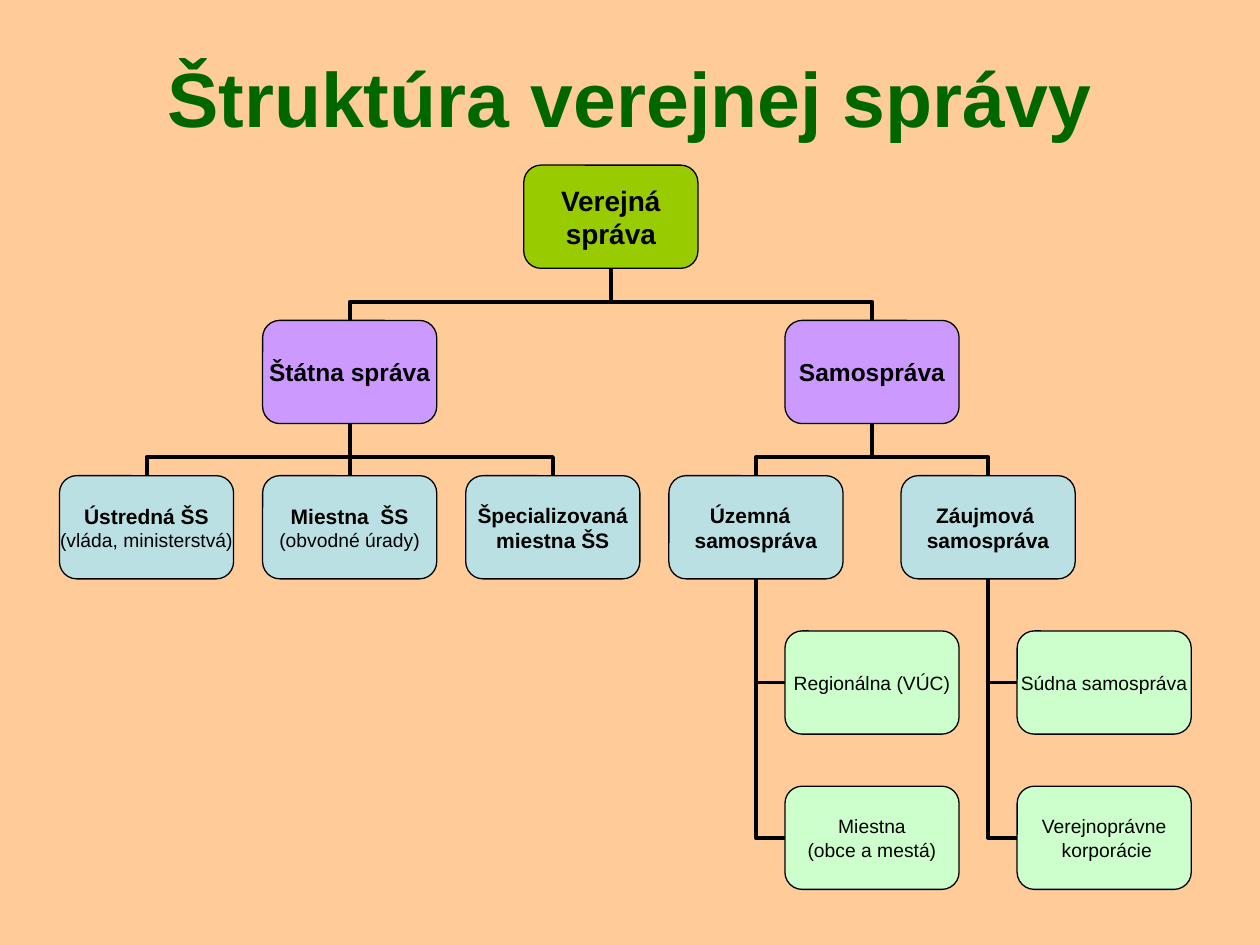
"""Builds a slide with the organisation chart of public administration."""
from lxml.etree import SubElement
from pptx import Presentation
from pptx.dml.color import RGBColor
from pptx.enum.shapes import MSO_CONNECTOR, MSO_SHAPE
from pptx.enum.text import MSO_ANCHOR, MSO_AUTO_SIZE, PP_ALIGN
from pptx.oxml.ns import qn
from pptx.util import Cm, Pt

COLORS = {
    "background": "FFCC99", "title": "006600", "ink": "000000",
    "root": "99CC00", "branch": "CC99FF", "unit": "BBE0E3", "leaf": "CCFFCC",
}
STYLES = {"root": (16, True), "branch": (14, True), "unit": (12, True), "leaf": (11, False)}
LEFT, TOP = 1.2, 3.33
COLUMN_STEP, ROW_STEP = 0.585, 3.13
BOX_WIDTH, BOX_HEIGHT = 3.51, 2.08
TOP_SITE, LEFT_SITE, BOTTOM_SITE = 0, 1, 2

NODES = [
    ("root", None, "root", 16, 0, ["Verejná", "správa"]),
    ("state", "root", "branch", 7, 1, ["Štátna správa"]),
    ("self", "root", "branch", 25, 1, ["Samospráva"]),
    ("central", "state", "unit", 0, 2, ["Ústredná ŠS", "(vláda, ministerstvá)"]),
    ("local", "state", "unit", 7, 2, ["Miestna  ŠS", "(obvodné úrady)"]),
    ("special", "state", "unit", 14, 2, ["Špecializovaná", "miestna ŠS"]),
    ("territorial", "self", "unit", 21, 2, ["Územná  ", "samospráva"]),
    ("interest", "self", "unit", 29, 2, ["Záujmová ", "samospráva"]),
    ("regional", "territorial", "leaf", 25, 3, ["Regionálna (VÚC)"]),
    ("municipal", "territorial", "leaf", 25, 4, ["Miestna", "(obce a mestá)"]),
    ("judicial", "interest", "leaf", 33, 3, ["Súdna samospráva"]),
    ("corporate", "interest", "leaf", 33, 4, ["Verejnoprávne", " korporácie"]),
]


def write(para, text, size, bold=False, color="ink"):
    """Put one formatted, centred line of text into a paragraph."""
    para.alignment = PP_ALIGN.CENTER
    span = para.add_run()
    span.text = text
    span.font.name = "Arial"
    span.font.size = Pt(size)
    span.font.bold = bold
    span.font.color.rgb = RGBColor.from_string(COLORS[color])


deck = Presentation()
deck.slide_width, deck.slide_height = Cm(25.4), Cm(19.05)
page = deck.slides.add_slide(deck.slide_layouts[5])
page.background.fill.solid()
page.background.fill.fore_color.rgb = RGBColor.from_string(COLORS["background"])

title = page.shapes.title
title.left, title.top, title.width, title.height = Cm(1.27), Cm(0.76), Cm(22.86), Cm(2.36)
title.text_frame.auto_size = MSO_AUTO_SIZE.NONE
title.text_frame.vertical_anchor = MSO_ANCHOR.MIDDLE
write(title.text_frame.paragraphs[0], "Štruktúra verejnej správy", size=44, bold=True, color="title")

boxes = {}
for name, parent, level, column, row, lines in NODES:
    box = page.shapes.add_shape(
        MSO_SHAPE.ROUNDED_RECTANGLE,
        Cm(LEFT + column * COLUMN_STEP), Cm(TOP + row * ROW_STEP), Cm(BOX_WIDTH), Cm(BOX_HEIGHT),
    )
    boxes[name] = box
    box.shadow.inherit = False
    box.fill.solid()
    box.fill.fore_color.rgb = RGBColor.from_string(COLORS[level])
    box.line.color.rgb = RGBColor.from_string(COLORS["ink"])
    box.line.width = Pt(0.75)
    frame = box.text_frame
    frame.margin_left = frame.margin_top = frame.margin_right = frame.margin_bottom = 0
    frame.word_wrap = False
    frame.vertical_anchor = MSO_ANCHOR.MIDDLE
    for index, line in enumerate(lines):
        para = frame.add_paragraph() if index else frame.paragraphs[0]
        is_note = level == "unit" and line.startswith("(")
        size, bold = STYLES["leaf" if is_note else level]
        write(para, line, size=size, bold=bold)

for name, parent, level, column, row, lines in NODES:
    if parent is None:
        continue
    child, owner = boxes[name], boxes[parent]
    straight = child.left == owner.left
    kind = MSO_CONNECTOR.STRAIGHT if straight else MSO_CONNECTOR.ELBOW
    link = page.shapes.add_connector(kind, 0, 0, 0, 0)
    link.begin_connect(child, LEFT_SITE if level == "leaf" else TOP_SITE)
    link.end_connect(owner, BOTTOM_SITE)
    link.line.color.rgb = RGBColor.from_string(COLORS["ink"])
    link.line.width = Pt(2.25)
    properties = link._element.spPr
    SubElement(properties, qn("a:effectLst"))
    geometry = properties.find(qn("a:prstGeom"))
    if level == "leaf":
        geometry.set("prst", "bentConnector2")
    elif not straight:
        middle_x, middle_y = link.left + link.width // 2, link.top + link.height // 2
        link.width, link.height = link.height, link.width
        link.left, link.top = middle_x - link.width // 2, middle_y - link.height // 2
        frame = properties.find(qn("a:xfrm"))
        frame.set("rot", str(270 * 60000))
        frame.set("flipH", "0")
        frame.set("flipV", "1" if child.left > owner.left else "0")
        guide = SubElement(geometry.find(qn("a:avLst")), qn("a:gd"))
        guide.set("name", "adj1")
        guide.set("fmla", "val 35800")
    page.shapes._spTree.insert(2, link._element)

deck.save("out.pptx")
